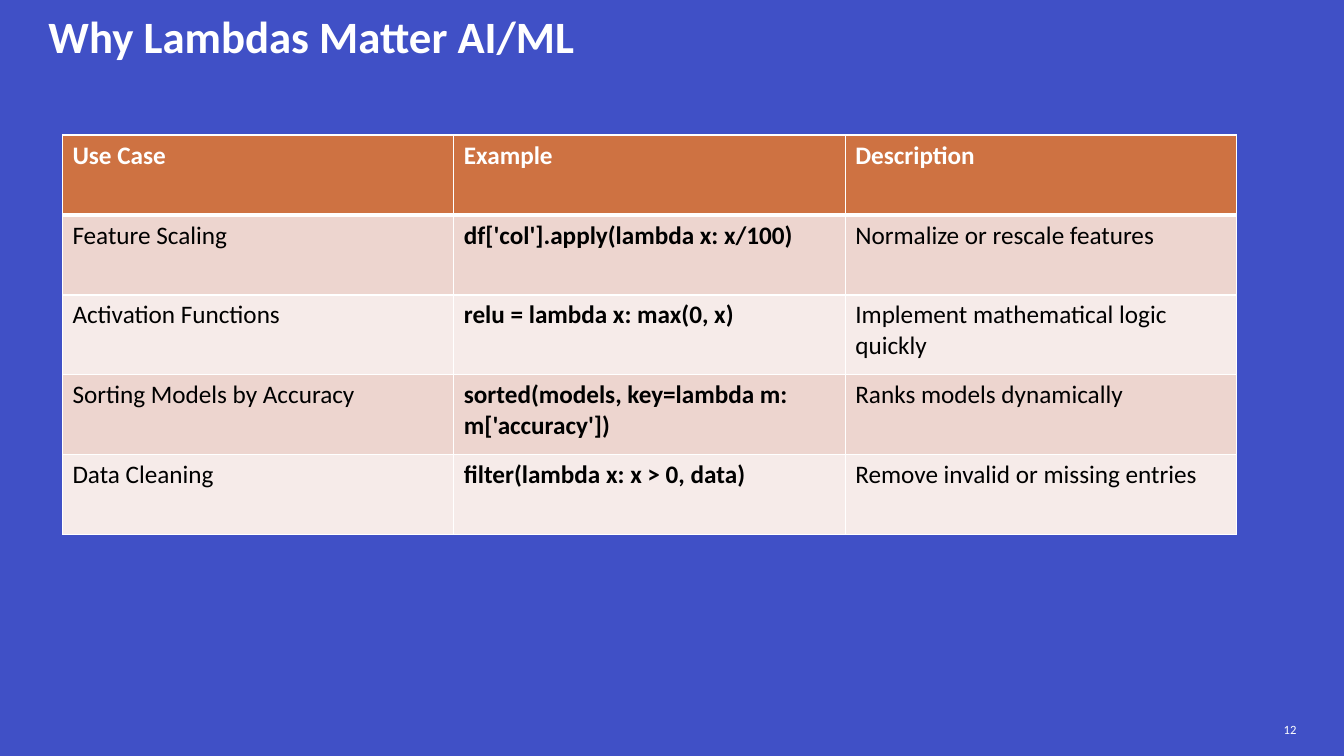
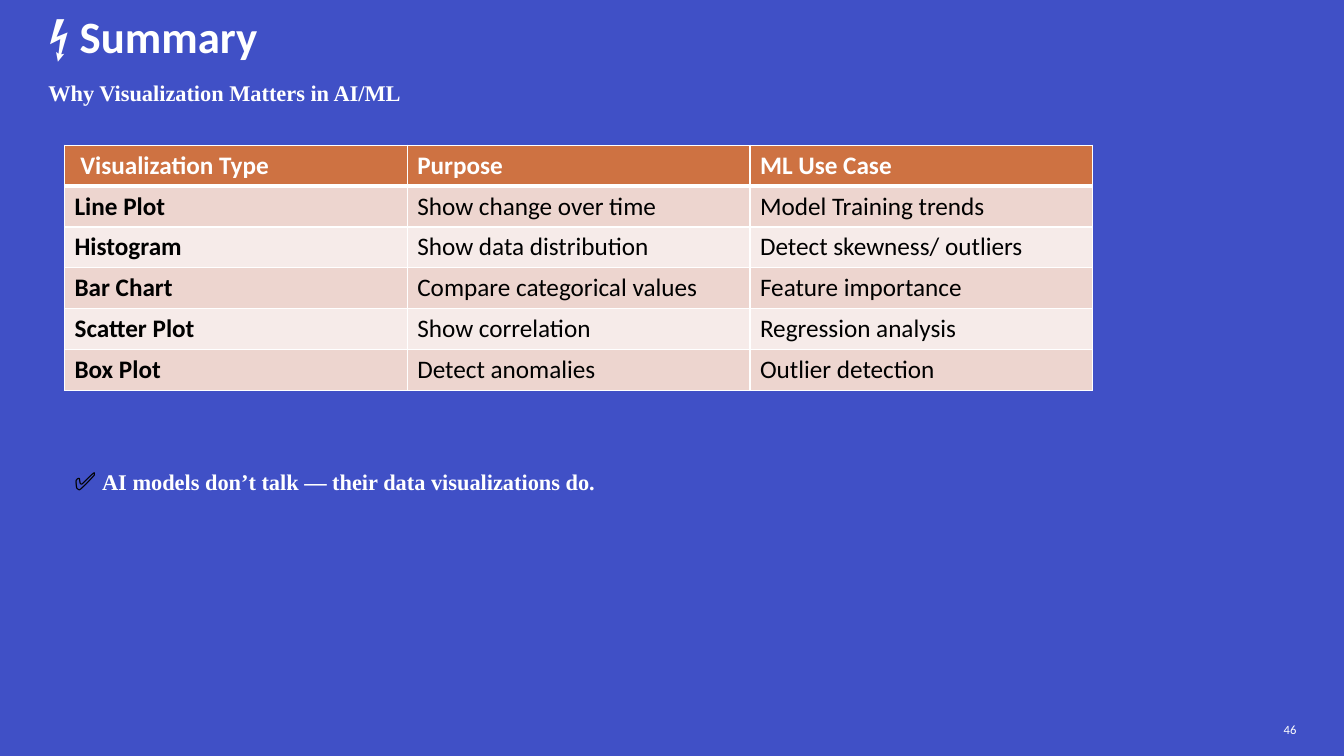
from dataclasses import dataclass

import pptx
import pptx.dml.color
import pptx.enum.text
import pptx.oxml
import pptx.oxml.ns
import pptx.util

Pt = pptx.util.Pt
Anchor = pptx.enum.text.MSO_ANCHOR
Align = pptx.enum.text.PP_ALIGN

COLORS = {
    "background": "4050C6",
    "light": "FFFFFF",
    "dark": "000000",
    "header": "CE7242",
    "odd_row": "EDD5CF",
    "even_row": "F6EBE9",
}
SANS = "Calibri"
SERIF = "Times New Roman"
TITLE_ONLY = 5


@dataclass(frozen=True)
class Frame:
    left: float
    top: float
    width: float
    height: float

    def lengths(self) -> list[pptx.util.Length]:
        return [Pt(value) for value in (self.left, self.top, self.width, self.height)]


@dataclass(frozen=True)
class Span:
    text: str
    size: float
    font: str = SANS
    color: str = "light"
    bold: bool = False


@dataclass(frozen=True)
class Grid:
    frame: Frame
    bold_column: int
    rows: list[tuple[str, str, str]]


TITLE_FRAME = Frame(27.4, 2.9, 891.4, 50.4)
NUMBER_FRAME = Frame(850.3, 506.9, 82.8, 28.8)

USE_CASES = Grid(Frame(44.6, 96.5, 838.8, 285.5), 1, [
    ("Use Case", "Example", "Description"),
    ("Feature Scaling", "df['col'].apply(lambda x: x/100)", "Normalize or rescale features"),
    ("Activation Functions", "relu = lambda x: max(0, x)", "Implement mathematical logic quickly"),
    ("Sorting Models by Accuracy", "sorted(models, key=lambda m: m['accuracy'])",
     "Ranks models dynamically"),
    ("Data Cleaning", "filter(lambda x: x > 0, data)", "Remove invalid or missing entries"),
])

PLOT_TYPES = Grid(Frame(46.1, 103.7, 734.4, 175.2), 0, [
    (" Visualization Type", "Purpose", "ML Use Case"),
    ("Line Plot", "Show change over time", "Model Training trends"),
    ("Histogram", "Show data distribution", "Detect skewness/ outliers"),
    ("Bar Chart", "Compare categorical values", "Feature importance"),
    ("Scatter Plot", "Show correlation", "Regression analysis"),
    ("Box Plot", "Detect anomalies", "Outlier detection"),
])


def rgb(name: str) -> pptx.dml.color.RGBColor:
    return pptx.dml.color.RGBColor.from_string(COLORS[name])


def write(text_frame, *spans: Span) -> None:
    """Fill the first paragraph with formatted runs."""
    paragraph = text_frame.paragraphs[0]
    for span in spans:
        run = paragraph.add_run()
        run.text = span.text
        run.font.name = span.font
        run.font.size = Pt(span.size)
        run.font.bold = span.bold
        run.font.color.rgb = rgb(span.color)


def add_text(page, frame: Frame, *spans: Span):
    box = page.shapes.add_textbox(*frame.lengths())
    box.text_frame.word_wrap = True
    write(box.text_frame, *spans)
    return box


def add_page(deck, title: str, number: int):
    """Add a slide with its title and printed page number."""
    page = deck.slides.add_slide(deck.slide_layouts[TITLE_ONLY])
    heading = page.shapes.title
    heading.left, heading.top, heading.width, heading.height = TITLE_FRAME.lengths()
    heading.text_frame.auto_size = pptx.enum.text.MSO_AUTO_SIZE.NONE
    heading.text_frame.vertical_anchor = Anchor.TOP
    heading.text_frame.paragraphs[0].alignment = Align.LEFT
    write(heading.text_frame, Span(title, 32, bold=True))

    box = add_text(page, NUMBER_FRAME, Span(str(number), 9))
    box.text_frame.vertical_anchor = Anchor.MIDDLE
    box.text_frame.paragraphs[0].alignment = Align.RIGHT
    return page


def set_borders(cell, top: float, bottom: float) -> None:
    properties = cell._tc.get_or_add_tcPr()
    for side, width in (("L", 1), ("R", 1), ("T", top), ("B", bottom)):
        properties.append(pptx.oxml.parse_xml(
            f'<a:ln{side} {pptx.oxml.ns.nsdecls("a")} w="{Pt(width)}"><a:solidFill>'
            f'<a:srgbClr val="{COLORS["light"]}"/></a:solidFill></a:ln{side}>'
        ))


def add_grid(page, grid: Grid) -> None:
    row_count, column_count = len(grid.rows), len(grid.rows[0])
    table = page.shapes.add_table(row_count, column_count, *grid.frame.lengths()).table
    table.horz_banding = False
    for column in table.columns:
        column.width = Pt(grid.frame.width / column_count)
    for row in table.rows:
        row.height = Pt(grid.frame.height / row_count)

    for row_index, texts in enumerate(grid.rows):
        is_header = row_index == 0
        fill = "header" if is_header else "odd_row" if row_index % 2 else "even_row"
        for column_index, text in enumerate(texts):
            cell = table.cell(row_index, column_index)
            set_borders(cell, top=3 if row_index == 1 else 1, bottom=3 if is_header else 1)
            cell.fill.solid()
            cell.fill.fore_color.rgb = rgb(fill)
            write(cell.text_frame, Span(
                text, 18,
                color="light" if is_header else "dark",
                bold=is_header or column_index == grid.bold_column,
            ))


def main() -> None:
    deck = pptx.Presentation()
    deck.slide_width, deck.slide_height = Pt(960), Pt(540)
    background = deck.slide_master.background.fill
    background.solid()
    background.fore_color.rgb = rgb("background")

    lambdas = add_page(deck, "Why Lambdas Matter AI/ML", 12)
    add_grid(lambdas, USE_CASES)

    summary = add_page(deck, "⚡ Summary", 46)
    add_text(summary, Frame(46.1, 329, 586, 29),
             Span("✅ ", 18, color="dark"),
             Span("AI models don’t talk — their data visualizations do.", 16, SERIF, bold=True))
    add_text(summary, Frame(27.4, 53.3, 363.6, 26.6),
             Span("Why Visualization Matters in AI/ML", 16, SERIF, bold=True))
    add_grid(summary, PLOT_TYPES)

    deck.save("out.pptx")


if __name__ == "__main__":
    main()
